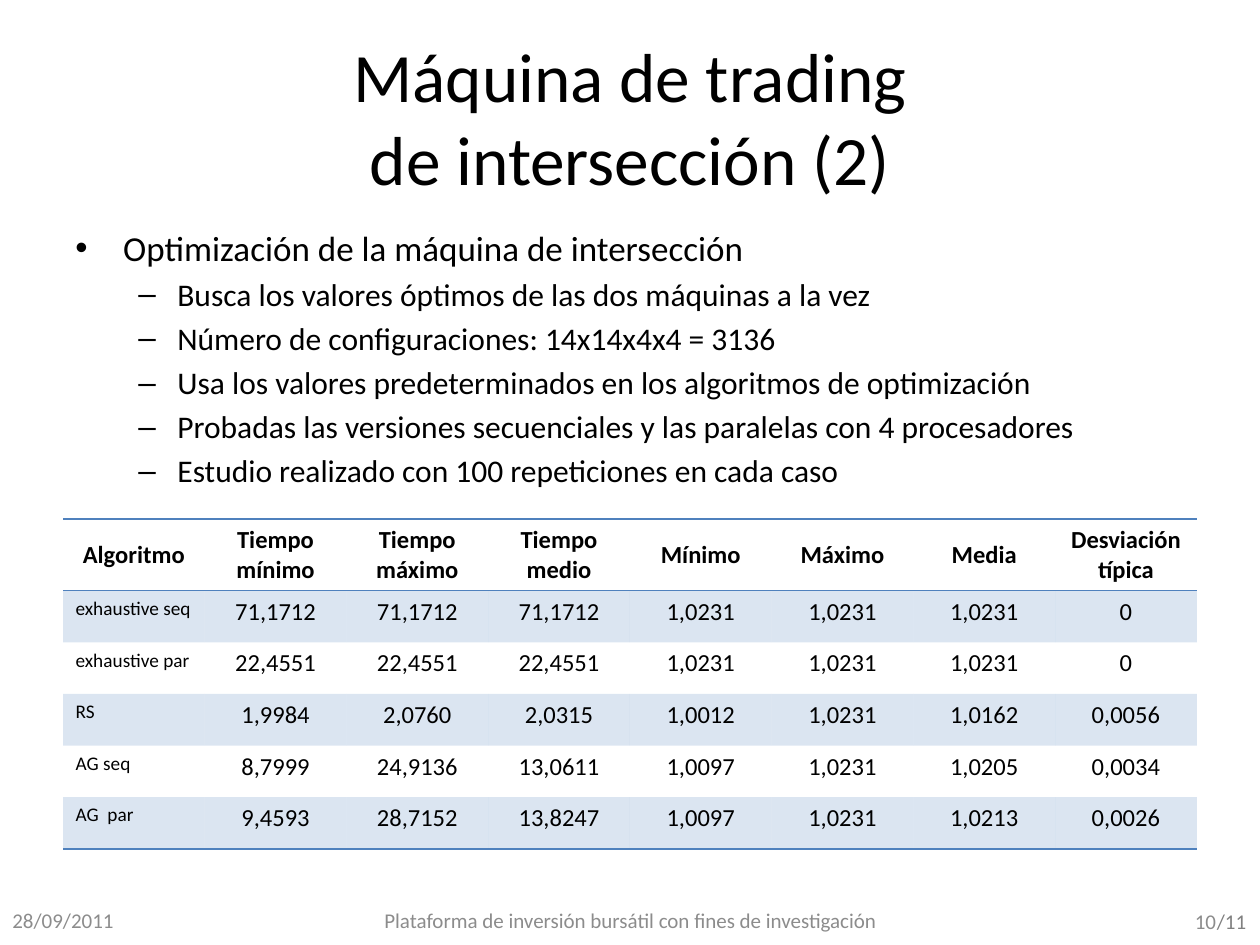
from lxml.etree import SubElement
from pptx import Presentation
from pptx.dml.color import RGBColor
from pptx.enum.text import MSO_ANCHOR, PP_ALIGN
from pptx.oxml.ns import qn
from pptx.util import Inches, Pt

FONT = "Calibri"
COLORS = {"text": "000000", "footer": "8C8C8C", "total": "808080", "accent": "4F81BD"}

TITLE = "Máquina de trading\vde intersección (2)"
BULLETS = [
    (0, "Optimización de la máquina de intersección"),
    (1, "Busca los valores óptimos de las dos máquinas a la vez"),
    (1, "Número de configuraciones: 14x14x4x4 = 3136"),
    (1, "Usa los valores predeterminados en los algoritmos de optimización"),
    (1, "Probadas las versiones secuenciales y las paralelas con 4 procesadores"),
    (1, "Estudio realizado con 100 repeticiones en cada caso"),
]
# Per level: bullet, size, left margin, hanging indent
LEVELS = [("•", 20, 0.38, 0.38), ("–", 18, 0.81, 0.31)]
ROWS = [
    ("Algoritmo", "Tiempo mínimo", "Tiempo máximo", "Tiempo medio",
     "Mínimo", "Máximo", "Media", "Desviación típica"),
    ("exhaustive seq", "71,1712", "71,1712", "71,1712", "1,0231", "1,0231", "1,0231", "0"),
    ("exhaustive par", "22,4551", "22,4551", "22,4551", "1,0231", "1,0231", "1,0231", "0"),
    ("RS", "1,9984", "2,0760", "2,0315", "1,0012", "1,0231", "1,0162", "0,0056"),
    ("AG seq", "8,7999", "24,9136", "13,0611", "1,0097", "1,0231", "1,0205", "0,0034"),
    ("AG  par", "9,4593", "28,7152", "13,8247", "1,0097", "1,0231", "1,0213", "0,0026"),
]
# Text, box, alignment, colour, wrap, anchor
FOOTERS = [
    ("28/09/2011", (0, 7.1, 2.33, 0.4), PP_ALIGN.LEFT, "footer", True, MSO_ANCHOR.MIDDLE),
    ("Plataforma de inversión bursátil con fines de investigación",
     (2.42, 7.1, 5.17, 0.4), PP_ALIGN.CENTER, "footer", True, MSO_ANCHOR.MIDDLE),
    ("10", (7.65, 7.11, 2.1, 0.4), PP_ALIGN.RIGHT, "footer", True, MSO_ANCHOR.MIDDLE),
    ("/11", (9.56, 7.16, 0.44, 0.3), PP_ALIGN.LEFT, "total", False, MSO_ANCHOR.TOP),
]
NO_STYLE = "{2D5ABB26-0587-4C30-8999-92F81FD0307C}"
ROW_H = 0.41


def style(p, size, color="text", align=PP_ALIGN.LEFT, bold=False):
    p.alignment = align
    for r in p.runs:
        r.font.name, r.font.size, r.font.bold = FONT, Pt(size), bold
        r.font.color.rgb = RGBColor.from_string(COLORS[color])


def add_text(s, box):
    tf = s.shapes.add_textbox(*map(Inches, box)).text_frame
    tf.word_wrap = True
    return tf


def add_bullet(p, char, left, hanging):
    pPr = p._p.get_or_add_pPr()
    pPr.set("marL", str(Inches(left)))
    pPr.set("indent", str(-Inches(hanging)))
    SubElement(pPr, qn("a:buFont"), typeface="Arial")
    SubElement(pPr, qn("a:buChar"), char=char)


def add_border(cell, side):
    ln = SubElement(cell._tc.get_or_add_tcPr(), qn(f"a:{side}"), w=str(Pt(1)))
    SubElement(SubElement(ln, qn("a:solidFill")), qn("a:srgbClr"), val=COLORS["accent"])


def fill_cell(cell, banded):
    if not banded:
        cell.fill.background()
        return
    cell.fill.solid()
    cell.fill.fore_color.rgb = RGBColor.from_string(COLORS["accent"])
    clr = cell._tc.tcPr.find(qn("a:solidFill")).find(qn("a:srgbClr"))
    SubElement(clr, qn("a:alpha"), val="20000")


prs = Presentation()
prs.slide_width, prs.slide_height = Inches(10), Inches(7.5)
s = prs.slides.add_slide(prs.slide_layouts[5])

# Title
title = s.shapes.title
title.left, title.top, title.width, title.height = map(Inches, (0.5, 0.3, 9, 1.25))
title.text_frame.text = TITLE
title.text_frame.vertical_anchor = MSO_ANCHOR.MIDDLE
style(title.text_frame.paragraphs[0], 39.6, align=PP_ALIGN.CENTER)

# Bullets
tf = add_text(s, (0.5, 1.75, 9, 4.95))
for i, (level, text) in enumerate(BULLETS):
    char, size, left, hanging = LEVELS[level]
    p = tf.add_paragraph() if i else tf.paragraphs[0]
    p.text, p.level = text, level
    p.space_before = Pt(size * 0.2)
    style(p, size)
    add_bullet(p, char, left, hanging)

# Results table
table = s.shapes.add_table(len(ROWS), len(ROWS[0]), Inches(0.5), Inches(4.12),
                           Inches(9), Inches(ROW_H * len(ROWS))).table
table._tbl.tblPr.find(qn("a:tableStyleId")).text = NO_STYLE
for i, row in enumerate(ROWS):
    header = i == 0
    for j, text in enumerate(row):
        cell = table.cell(i, j)
        cell.text = text
        label = j == 0 and not header
        style(cell.text_frame.paragraphs[0], 11 if label else 14, bold=header,
              align=PP_ALIGN.LEFT if label else PP_ALIGN.CENTER)
        cell.vertical_anchor = MSO_ANCHOR.MIDDLE if header else MSO_ANCHOR.TOP
        if header:
            add_border(cell, "lnT")
        if header or i == len(ROWS) - 1:
            add_border(cell, "lnB")
        fill_cell(cell, i % 2 == 1)

# Footer
for text, box, align, color, wrap, anchor in FOOTERS:
    tf = add_text(s, box)
    tf.text, tf.word_wrap, tf.vertical_anchor = text, wrap, anchor
    style(tf.paragraphs[0], 12, color, align)

prs.save("out.pptx")
